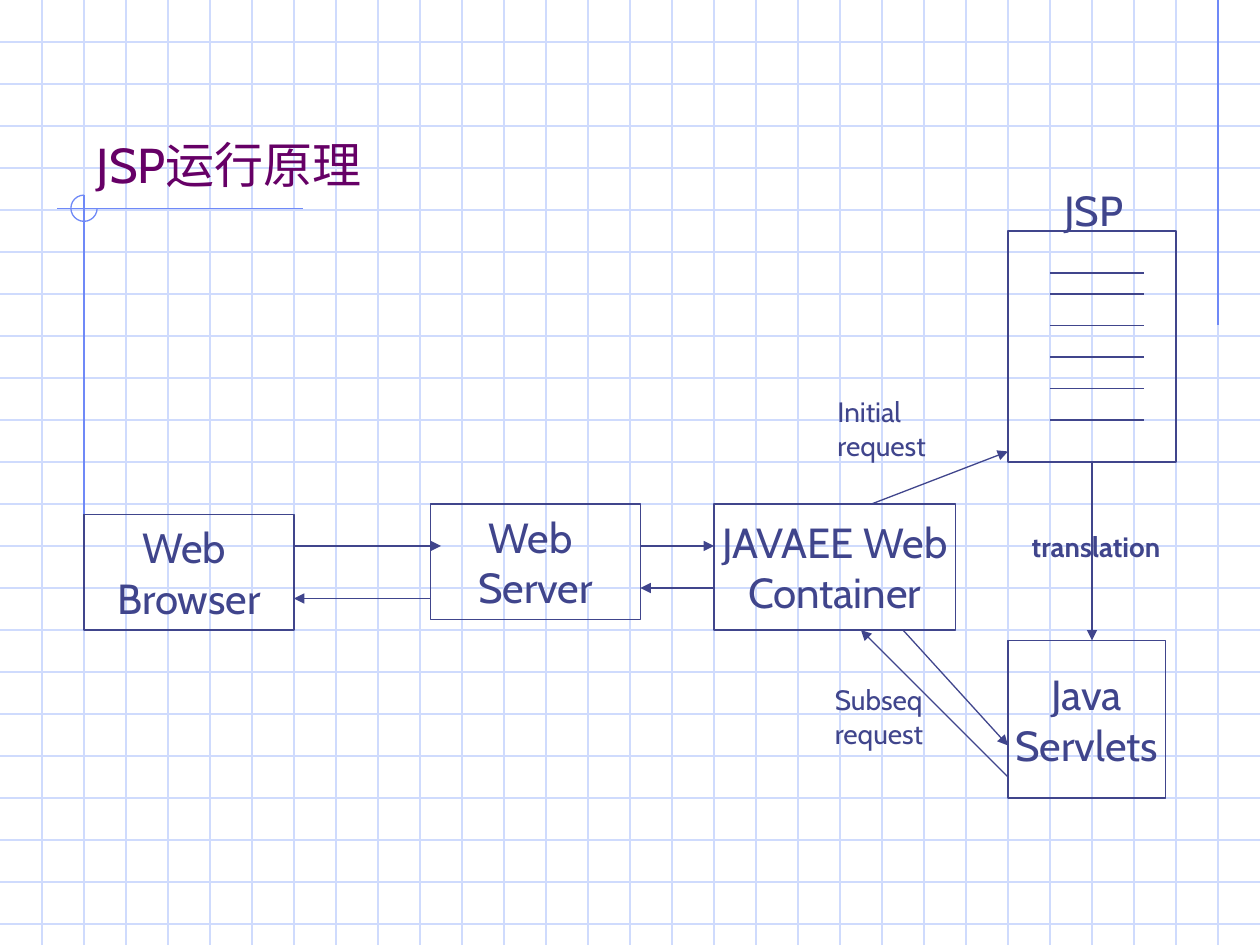
from lxml import etree
from pptx import Presentation
from pptx.dml.color import RGBColor
from pptx.enum.shapes import MSO_CONNECTOR, MSO_SHAPE
from pptx.enum.text import MSO_ANCHOR, MSO_AUTO_SIZE, PP_ALIGN
from pptx.oxml.ns import qn
from pptx.util import Pt

STRAIGHT = MSO_CONNECTOR.STRAIGHT
RECT, ARC = MSO_SHAPE.RECTANGLE, MSO_SHAPE.ARC
LEFT, CENTER = PP_ALIGN.LEFT, PP_ALIGN.CENTER
MIDDLE, BOTTOM = MSO_ANCHOR.MIDDLE, MSO_ANCHOR.BOTTOM
NO_FIT, GROW = MSO_AUTO_SIZE.NONE, MSO_AUTO_SIZE.SHAPE_TO_FIT_TEXT

FONT = "Cabin"
WIDTH, HEIGHT, PITCH = 720, 540, 24
COLORS = {"grid": "CFDBFD", "accent": "6F89F7", "ink": "40458C", "title": "660066"}


def rgb(name):
    """Return the named palette colour."""
    return RGBColor.from_string(COLORS[name])


def add_line(s, x1, y1, x2, y2, color="ink", arrow=False):
    """Draw a thin straight line, with an arrowhead at its end if asked."""
    line = s.shapes.add_connector(STRAIGHT, Pt(x1), Pt(y1), Pt(x2), Pt(y2))
    line.line.color.rgb = rgb(color)
    line.line.width = Pt(0.75)
    if arrow:
        etree.SubElement(line.line._get_or_add_ln(), qn("a:tailEnd"), type="triangle")
    etree.SubElement(line._element.spPr, qn("a:effectLst"))


def add_outline(s, kind, box, color="ink"):
    """Draw an unfilled preset shape."""
    sp = s.shapes.add_shape(kind, *map(Pt, box))
    sp.shadow.inherit = False
    sp.fill.background()
    sp.line.color.rgb = rgb(color)
    sp.line.width = Pt(0.75)
    return sp


def set_text(tf, lines, size, color="ink", align=LEFT, bold=False):
    """Write one paragraph per line in a shared format."""
    tf.word_wrap = False
    for i, text in enumerate(lines):
        p = tf.add_paragraph() if i else tf.paragraphs[0]
        p.text = text
        p.alignment = align
        p.font.name = FONT
        p.font.size = Pt(size)
        p.font.bold = bold
        p.font.color.rgb = rgb(color)


def add_grid(s, box):
    """Rule the box like squared paper."""
    x, y, w, h = box
    for gy in range(y + PITCH, y + h, PITCH):
        add_line(s, x, gy, x + w, gy, "grid")
    for gx in range(x + PITCH, x + w, PITCH):
        add_line(s, gx, y, gx, y + h, "grid")


def add_ornament(s, box):
    """Draw the accent rules, with an open circle where two of them cross."""
    x, y, w, h = box
    radius = 7.5
    add_line(s, x + w, 0, x + w, 186, "accent")
    add_line(s, x + 125, y, x - 15.5, y, "accent")
    add_line(s, x, y - radius, x, y + h, "accent")
    arc = add_outline(s, ARC, (x - radius, y - radius, 2 * radius, 2 * radius), "accent")
    arc.adjustments[0], arc.adjustments[1] = 0, 162


def add_title(s, box, text):
    """Place the title placeholder in front of the background."""
    title = s.shapes.title
    title.left, title.top, title.width, title.height = map(Pt, box)
    tf = title.text_frame
    set_text(tf, [text], 28, "title")
    tf.word_wrap = True
    tf.auto_size = NO_FIT
    tf.vertical_anchor = BOTTOM
    s.shapes._spTree.append(title._element)


def add_node(s, box, lines):
    """Draw a framed component with its centred name."""
    tf = add_outline(s, RECT, box).text_frame
    tf.vertical_anchor = MIDDLE
    set_text(tf, lines, 24, align=CENTER)


def add_page(s, box):
    """Draw a page with ruled lines of text."""
    x, y, w, h = box
    add_outline(s, RECT, box)
    for dy in (24, 36, 54, 72, 90, 108):
        add_line(s, x + 24, y + dy, x + w - 18, y + dy)


def add_label(s, box, lines, size=16, bold=False):
    """Place a free-standing label that grows with its text."""
    tf = s.shapes.add_textbox(*map(Pt, box)).text_frame
    set_text(tf, lines, size, bold=bold)
    tf.auto_size = GROW


def add_diagram(s, box):
    """Lay out the request flow inside the box."""
    x, y, w, h = box
    nodes = [
        (0, 162, 120, 66, ["Web ", "Browser"]),
        (198, 156, 120, 66, ["Web ", "Server"]),
        (360, 156, 138, 72, ["JAVAEE Web", "Container"]),
        (w - 96, h - 90, 90, 90, ["Java", "Servlets"]),
    ]
    arrows = [
        (120, 180, 204, 180),
        (198, 210, 120, 210),
        (318, 180, 360, 180),
        (360, 204, 318, 204),
        (450, 156, 528, 126),
        (576, 132, 576, 234),
        (468, 228, 528, 294),
        (528, 312, 444, 228),
    ]
    for nx, ny, nw, nh, lines in nodes:
        add_node(s, (x + nx, y + ny, nw, nh), lines)
    add_page(s, (x + w - 96, y, 96, 132))
    for x1, y1, x2, y2 in arrows:
        add_line(s, x + x1, y + y1, x + x2, y + y2, arrow=True)
    add_label(s, (x + 553, y - 30, 50, 36), ["JSP"], size=24)
    add_label(s, (x + 534.5, y + 167, 103, 26.5), ["translation"], bold=True)
    add_label(s, (x + 423.5, y + 90, 72, 46), ["Initial", "request"])
    add_label(s, (x + 422, y + 254.5, 72, 46), ["Subseq", "request"])


def main():
    """Build the slide and save it."""
    prs = Presentation()
    prs.slide_width, prs.slide_height = Pt(WIDTH), Pt(HEIGHT)
    s = prs.slides.add_slide(prs.slide_layouts[5])
    add_grid(s, (0, 0, WIDTH, HEIGHT))
    add_ornament(s, (48, 119, 648, 175.5))
    add_title(s, (48, 24, 374.5, 90), "JSP运行原理")
    add_diagram(s, (48, 132, 624, 324))
    prs.save("out.pptx")


if __name__ == "__main__":
    main()
